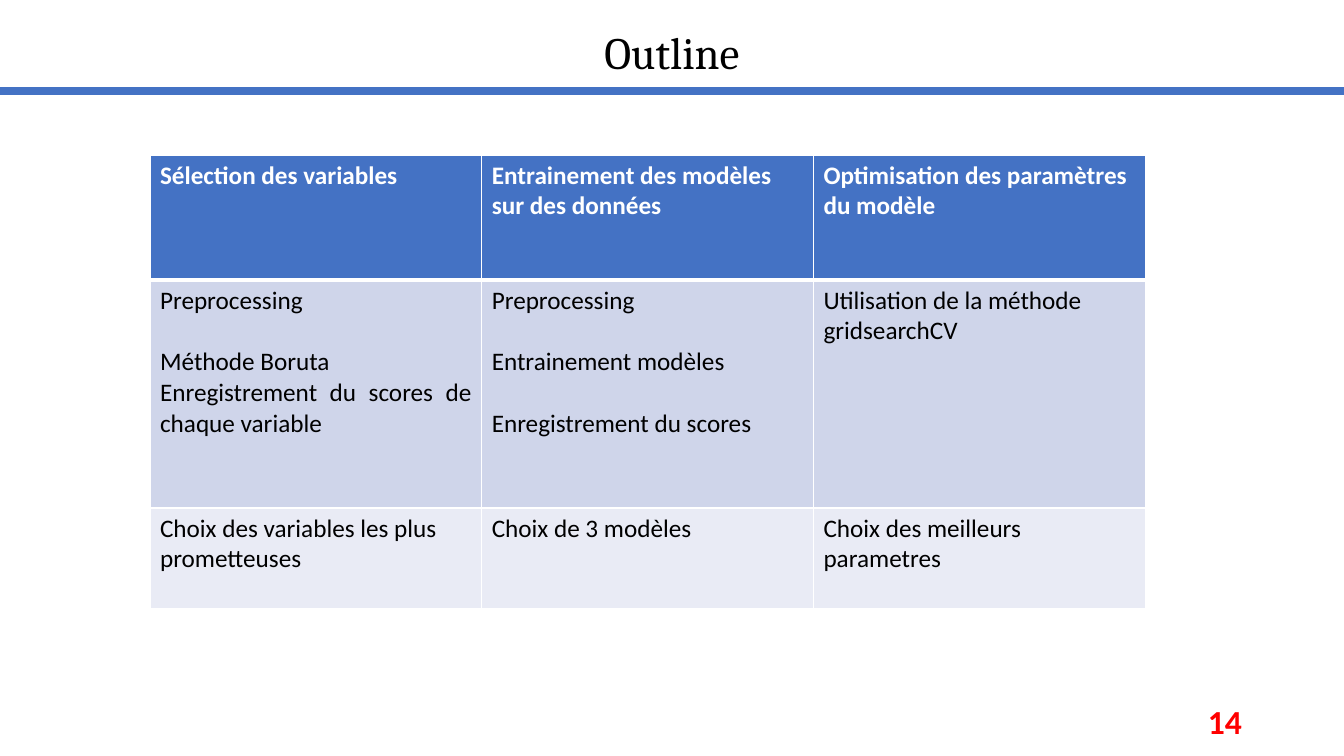
"""Build the outline slide with its three-step method table."""
from dataclasses import dataclass

from lxml import etree
from pptx import Presentation
from pptx import util as u
from pptx.dml import color
from pptx.enum import shapes, text
from pptx.oxml import ns

LEFT, JUSTIFY = text.PP_ALIGN.LEFT, text.PP_ALIGN.JUSTIFY
CENTER, RIGHT = text.PP_ALIGN.CENTER, text.PP_ALIGN.RIGHT
WIDTH, BLUE, WHITE = 33.87, "4472C4", "FFFFFF"


@dataclass(frozen=True)
class Style:
    size: int
    hue: str
    bold: bool = False
    font: str = "Calibri"


@dataclass(frozen=True)
class Label:
    words: str
    left: float
    top: float
    width: float
    height: float
    align: text.PP_ALIGN
    anchor: text.MSO_ANCHOR
    style: Style


@dataclass(frozen=True)
class Line:
    words: str
    align: text.PP_ALIGN = LEFT
    gap: int = 0


@dataclass(frozen=True)
class Row:
    height: float
    fill: str
    style: Style
    top_border: int
    bottom_border: int
    cells: list[list[Line]]


HEADING = Style(18, WHITE, True)
BODY = Style(18, "000000")
BLANK_LINE = 22

LABELS = [
    Label("Outline", 0, 0.51, WIDTH, 1.63, CENTER, text.MSO_ANCHOR.TOP,
          Style(32, "000000", font="Cambria")),
    Label("14", 23.93, 17.65, 7.62, 1.02, RIGHT, text.MSO_ANCHOR.MIDDLE,
          Style(24, "FF0000", True)),
]

ROWS = [
    Row(3.15, BLUE, HEADING, 1, 3, [
        [Line("Sélection des variables")],
        [Line("Entrainement des modèles sur des données")],
        [Line("Optimisation des paramètres du modèle")],
    ]),
    Row(5.74, "CFD5EA", BODY, 3, 1, [
        [Line("Preprocessing", JUSTIFY),
         Line("Méthode Boruta", JUSTIFY, BLANK_LINE),
         Line("Enregistrement du scores de chaque variable", JUSTIFY)],
        [Line("Preprocessing", JUSTIFY),
         Line("Entrainement modèles", JUSTIFY, BLANK_LINE),
         Line("Enregistrement du scores", JUSTIFY, BLANK_LINE)],
        [Line("Utilisation de la méthode gridsearchCV")],
    ]),
    Row(2.54, "E9EBF5", BODY, 1, 1, [
        [Line("Choix des variables les plus prometteuses")],
        [Line("Choix de 3 modèles")],
        [Line("Choix des meilleurs parametres")],
    ]),
]


def rgb(value: str) -> color.RGBColor:
    """Turn a hex string into a colour."""
    return color.RGBColor.from_string(value)


def write(para, line: Line, style: Style) -> None:
    """Fill a paragraph with one styled run."""
    para.alignment = line.align
    para.space_before = u.Pt(line.gap)
    span = para.add_run()
    span.text = line.words
    span.font.name = style.font
    span.font.size = u.Pt(style.size)
    span.font.bold = style.bold
    span.font.color.rgb = rgb(style.hue)


def draw_rule(page) -> None:
    """Draw the blue rule under the title."""
    rule = page.shapes.add_connector(
        shapes.MSO_CONNECTOR.STRAIGHT, 0, u.Cm(2.29), u.Cm(WIDTH), u.Cm(2.29))
    rule.line.color.rgb = rgb(BLUE)
    rule.line.width = u.Pt(5.75)
    etree.SubElement(rule._element.spPr, ns.qn("a:effectLst"))


def draw_label(page, label: Label) -> None:
    """Draw a text box with a single line."""
    box = page.shapes.add_textbox(
        u.Cm(label.left), u.Cm(label.top), u.Cm(label.width), u.Cm(label.height))
    frame = box.text_frame
    frame.word_wrap = True
    frame.vertical_anchor = label.anchor
    write(frame.paragraphs[0], Line(label.words, label.align), label.style)


def draw_borders(cell, top: int, bottom: int) -> None:
    """Give a cell white borders, with widths in points."""
    properties = cell._tc.get_or_add_tcPr()
    widths = {"lnL": 1, "lnR": 1, "lnT": top, "lnB": bottom}
    for place, (side, width) in enumerate(widths.items()):
        border = etree.Element(ns.qn(f"a:{side}"), w=str(u.Pt(width)))
        fill = etree.SubElement(border, ns.qn("a:solidFill"))
        etree.SubElement(fill, ns.qn("a:srgbClr"), val=WHITE)
        properties.insert(place, border)


def draw_table(page, rows: list[Row]) -> None:
    """Draw the method table."""
    columns = len(rows[0].cells)
    height = sum(row.height for row in rows)
    table = page.shapes.add_table(
        len(rows), columns, u.Cm(3.78), u.Cm(3.91),
        u.Cm(8.36 * columns), u.Cm(height)).table
    for index, row in enumerate(rows):
        table.rows[index].height = u.Cm(row.height)
        for column, lines in enumerate(row.cells):
            cell = table.cell(index, column)
            cell.fill.solid()
            cell.fill.fore_color.rgb = rgb(row.fill)
            draw_borders(cell, row.top_border, row.bottom_border)
            frame = cell.text_frame
            for number, line in enumerate(lines):
                para = frame.add_paragraph() if number else frame.paragraphs[0]
                write(para, line, row.style)


def main() -> None:
    """Build and save the deck."""
    deck = Presentation()
    deck.slide_width, deck.slide_height = u.Cm(WIDTH), u.Cm(19.05)
    page = deck.slides.add_slide(deck.slide_layouts[6])
    draw_rule(page)
    for label in LABELS:
        draw_label(page, label)
    draw_table(page, ROWS)
    deck.save("out.pptx")


if __name__ == "__main__":
    main()
